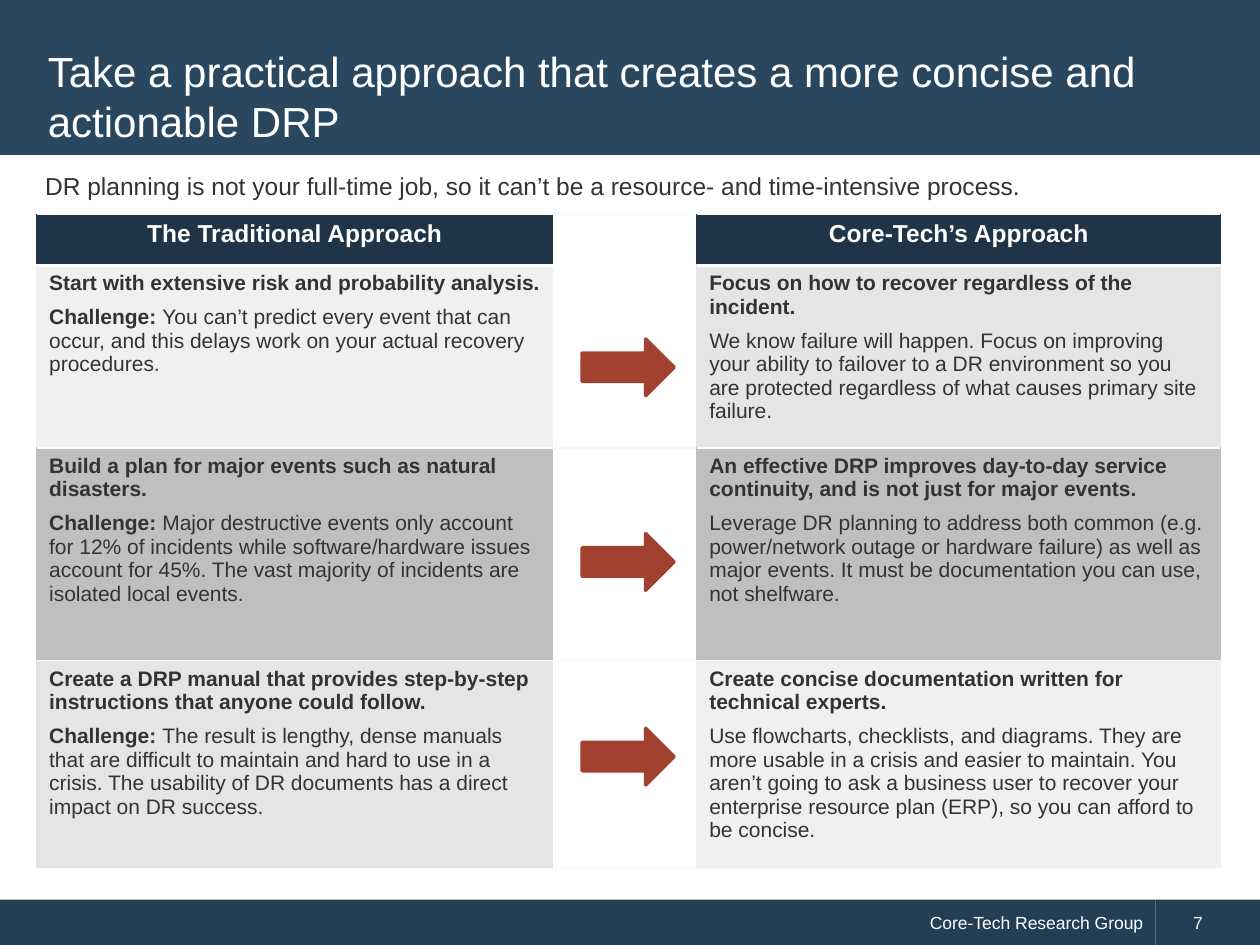
from lxml import etree
from pptx import Presentation
from pptx.dml.color import RGBColor
from pptx.enum.shapes import MSO_SHAPE
from pptx.enum.text import MSO_ANCHOR, PP_ALIGN
from pptx.oxml.ns import qn
from pptx.util import Inches, Pt

RECTANGLE, RIGHT_ARROW = MSO_SHAPE.RECTANGLE, MSO_SHAPE.RIGHT_ARROW
LEFT, CENTER, RIGHT = PP_ALIGN.LEFT, PP_ALIGN.CENTER, PP_ALIGN.RIGHT
MIDDLE = MSO_ANCHOR.MIDDLE

FONT = "Arial"
WHITE, TEXT, RED = "FFFFFF", "333333", "A24130"
BAND, FOOTER, HEADER = "29475F", "243F54", "1F3547"
PALE, LIGHT, GRAY, BORDER = "F0F0F0", "E5E5E5", "BFBFBF", "F9F9F9"

COLUMN_WIDTHS = [4.1, 1.14, 4.16]
ROW_HEIGHTS = [0.4, 1.45, 1.69, 1.65]
HEADINGS = ["The Traditional Approach", "Core-Tech’s Approach"]
# Each row: left fill, left spans by paragraph, right fill, right spans by paragraph
CHALLENGE = "Challenge: "
COMPARISONS = [
    (PALE, [["Start with extensive risk and probability analysis."],
            [CHALLENGE, "You can’t predict every event that can occur, and this delays "
             "work on your actual recovery procedures."]],
     LIGHT, [["Focus on how to recover regardless of the incident."],
             ["", "We know failure will happen. Focus on improving your ability to "
              "failover to a DR environment so you are protected regardless of what "
              "causes primary site failure."]]),
    (GRAY, [["Build a plan for major events such as natural disasters."],
            [CHALLENGE, "Major destructive events only account for 12% of incidents while "
             "software/hardware issues account for 45%. The vast majority of incidents "
             "are isolated local events."]],
     GRAY, [["An effective DRP improves day-to-day service continuity, and is not just "
             "for major events."],
            ["", "Leverage DR planning to address both common (e.g. power/network outage "
             "or hardware failure) as well as major events. It must be documentation "
             "you can use, not shelfware."]]),
    (LIGHT, [["Create a DRP manual that provides step-by-step instructions that anyone "
              "could follow."],
             [CHALLENGE, "The result is lengthy, dense manuals that are difficult to "
              "maintain and hard to use in a crisis. The usability of DR documents has "
              "a direct impact on DR success."]],
     PALE, [["Create concise documentation written for technical experts."],
            ["", "Use flowcharts, checklists, and diagrams. They are more usable in a "
             "crisis and easier to maintain. You aren’t going to ask a business user to "
             "recover your enterprise resource plan (ERP), so you can afford to be "
             "concise."]]),
]


def color(value):
    return RGBColor.from_string(value)


def style_font(font, size, value, bold=False):
    font.name, font.size, font.bold = FONT, Pt(size), bold
    font.color.rgb = color(value)


def place(shape, left, top, width, height):
    shape.left, shape.top = Inches(left), Inches(top)
    shape.width, shape.height = Inches(width), Inches(height)


def add_block(page, kind, left, top, width, height, fill, line_width=0):
    block = page.shapes.add_shape(kind, Inches(left), Inches(top), Inches(width), Inches(height))
    block.shadow.inherit = False
    block.fill.solid()
    block.fill.fore_color.rgb = color(fill)
    if line_width:
        block.line.color.rgb = color(fill)
        block.line.width = Pt(line_width)
    else:
        block.line.fill.background()
    return block


def add_footer(page, left, width, text, alignment, margin):
    block = add_block(page, RECTANGLE, left, 7.14, width, 0.37, FOOTER)
    frame = block.text_frame
    frame.text = text
    frame.vertical_anchor = MIDDLE
    frame.margin_left = Inches(margin)
    para = frame.paragraphs[0]
    para.alignment = alignment
    style_font(para.runs[0].font, 10, WHITE)


def add_title(page, text):
    band = add_block(page, RECTANGLE, 0, 0, 10, 1.23, BAND)
    title = page.shapes.title
    title.element.addprevious(band.element)  # the band lies behind the title
    place(title, 0.28, 0.28, 9.43, 0.96)
    frame = title.text_frame
    frame.text = text
    frame.word_wrap = True
    frame.vertical_anchor = MIDDLE
    frame.paragraphs[0].alignment = LEFT
    style_font(frame.paragraphs[0].runs[0].font, 24, WHITE)


def add_lead(page, text):
    box = page.shapes.add_textbox(Inches(0.26), Inches(1.31), Inches(9.34), Inches(0.34))
    box.text_frame.word_wrap = True
    box.text_frame.text = text
    style_font(box.text_frame.paragraphs[0].runs[0].font, 14, TEXT)


def add_border(cell, side, value, width):
    properties = cell._tc.get_or_add_tcPr()
    line = etree.SubElement(properties, qn(f"a:ln{side}"), w=str(Pt(width)))
    fill = etree.SubElement(line, qn("a:solidFill"))
    etree.SubElement(fill, qn("a:srgbClr"), val=value)


def format_cell(cell, fill, is_header):
    for side in "LRTB":
        if is_header and side == "B":
            add_border(cell, side, WHITE, 2)
        elif side in "TB":
            add_border(cell, side, BORDER, 0.75)
        else:
            add_border(cell, side, fill, 0.75)
    cell.fill.solid()
    cell.fill.fore_color.rgb = color(fill)


def fill_heading(cell, text):
    cell.text_frame.text = text
    para = cell.text_frame.paragraphs[0]
    para.alignment = CENTER
    para.space_after = Pt(3)
    style_font(para.runs[0].font, 14, WHITE, bold=True)


def fill_body(cell, paragraphs):
    frame = cell.text_frame
    for index, spans in enumerate(paragraphs):
        para = frame.add_paragraph() if index else frame.paragraphs[0]
        para.space_after = Pt(3)
        if index:
            para.space_before = Pt(3)
        for position, text in enumerate(spans):
            if text:
                span = para.add_run()
                span.text = text
                style_font(span.font, 12, TEXT, bold=position == 0)


def add_comparison(page):
    frame = page.shapes.add_table(len(ROW_HEIGHTS), len(COLUMN_WIDTHS), Inches(0.29),
                                  Inches(1.7), Inches(sum(COLUMN_WIDTHS)),
                                  Inches(sum(ROW_HEIGHTS)))
    table = frame.table
    table.horz_banding = False
    for column, width in zip(table.columns, COLUMN_WIDTHS):
        column.width = Inches(width)
    for row, height in zip(table.rows, ROW_HEIGHTS):
        row.height = Inches(height)

    fills = [(HEADER, WHITE, HEADER)]
    fills += [(left, WHITE, right) for left, _, right, _ in COMPARISONS]
    for row, row_fills in enumerate(fills):
        for column, fill in enumerate(row_fills):
            format_cell(table.cell(row, column), fill, row == 0)

    for column, heading in zip((0, 2), HEADINGS):
        fill_heading(table.cell(0, column), heading)
    for row, (_, traditional, _, practical) in enumerate(COMPARISONS, start=1):
        fill_body(table.cell(row, 0), traditional)
        fill_body(table.cell(row, 2), practical)


def main():
    deck = Presentation()
    deck.slide_width, deck.slide_height = Inches(10), Inches(7.5)
    page = deck.slides.add_slide(deck.slide_layouts[5])

    # Title band and footer
    add_title(page, "Take a practical approach that creates a more concise and actionable DRP")
    add_footer(page, 0, 9.17, "Core-Tech Research Group", RIGHT, 0.1)
    add_footer(page, 9.17, 0.83, "7", LEFT, 0.3)

    # Comparison with one arrow per row
    add_comparison(page)
    add_lead(page, "DR planning is not your full-time job, so it can’t be a resource- "
                   "and time-intensive process.")
    for index in range(len(COMPARISONS)):
        add_block(page, RIGHT_ARROW, 4.62, 2.69 + 1.545 * index, 0.73, 0.45, RED, line_width=2)

    deck.save("out.pptx")


if __name__ == "__main__":
    main()
